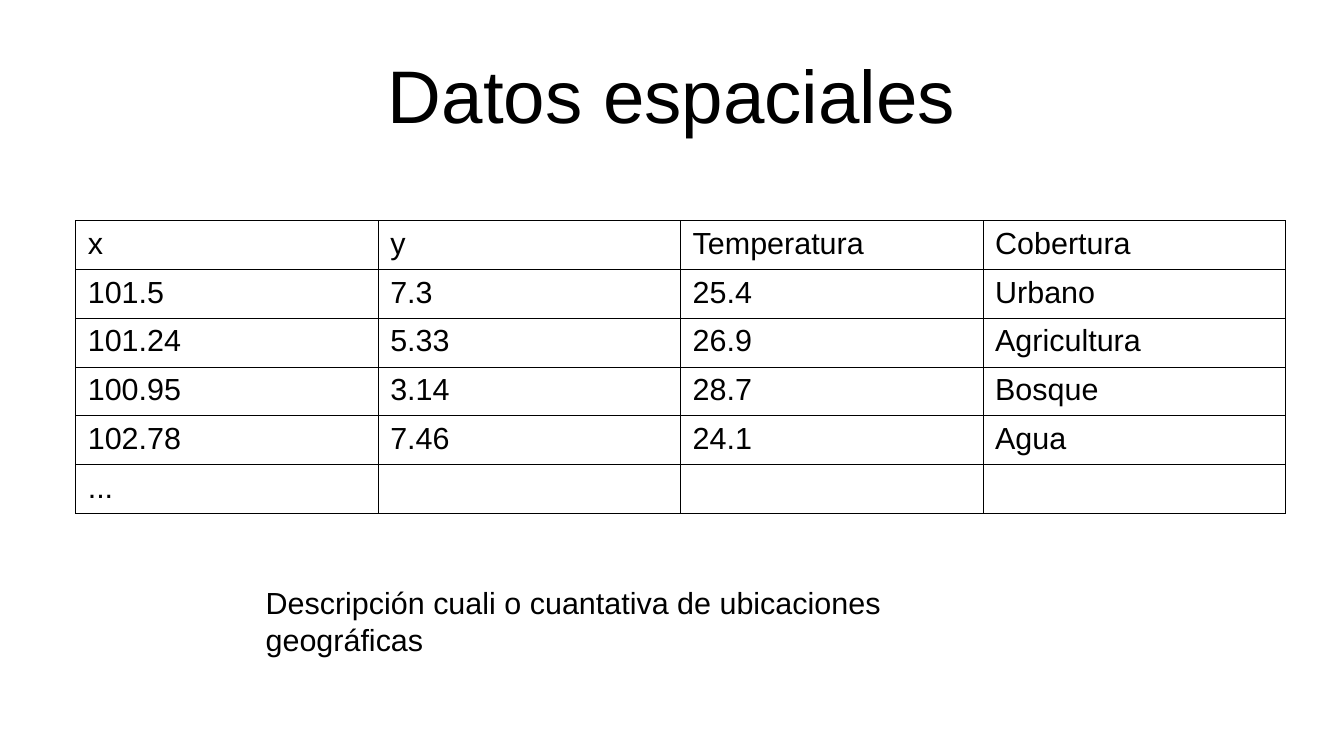
from typing import NamedTuple

from lxml.etree import SubElement
from pptx import Presentation
from pptx.dml.color import RGBColor
from pptx.enum.text import MSO_ANCHOR, PP_ALIGN
from pptx.oxml.ns import qn
from pptx.table import _Cell
from pptx.text.text import _Paragraph
from pptx.util import Inches, Pt

BLACK = RGBColor(0x00, 0x00, 0x00)
FONT_NAME = "Arial"
BORDER_WIDTH = Pt(0.57)
COLUMN_WIDTH = Inches(2.48)
ROW_HEIGHT = Inches(0.4)


class Observation(NamedTuple):
    x: str
    y: str = ""
    temperature: str = ""
    cover: str = ""


OBSERVATIONS = [
    Observation("x", "y", "Temperatura", "Cobertura"),
    Observation("101.5", "7.3", "25.4", "Urbano"),
    Observation("101.24", "5.33", "26.9", "Agricultura"),
    Observation("100.95", "3.14", "28.7", "Bosque"),
    Observation("102.78", "7.46", "24.1", "Agua"),
    Observation("..."),
]


def style_paragraph(paragraph: _Paragraph, size: float) -> None:
    paragraph.font.name = FONT_NAME
    paragraph.font.size = Pt(size)
    paragraph.font.color.rgb = BLACK


def draw_borders(cell: _Cell) -> None:
    properties = cell._tc.get_or_add_tcPr()
    for position, side in enumerate(("a:lnL", "a:lnR", "a:lnT", "a:lnB")):
        line = SubElement(properties, qn(side), w=str(int(BORDER_WIDTH)))
        properties.insert(position, line)
        fill = SubElement(line, qn("a:solidFill"))
        SubElement(fill, qn("a:srgbClr"), val=str(BLACK))


def fill_cell(cell: _Cell, value: str) -> None:
    cell.text = value
    style_paragraph(cell.text_frame.paragraphs[0], 18)
    cell.fill.background()
    draw_borders(cell)


def main() -> None:
    presentation = Presentation()
    presentation.slide_width = Inches(11.02)
    presentation.slide_height = Inches(6.2)
    slide = presentation.slides.add_slide(presentation.slide_layouts[5])

    # Title
    title = slide.shapes.title
    title.left, title.top = Inches(0.55), Inches(0.25)
    title.width, title.height = Inches(9.92), Inches(1.04)
    heading = title.text_frame
    heading.text = "Datos espaciales"
    heading.vertical_anchor = MSO_ANCHOR.MIDDLE
    heading.margin_left = heading.margin_right = 0
    heading.margin_top = heading.margin_bottom = 0
    heading.paragraphs[0].alignment = PP_ALIGN.CENTER
    style_paragraph(heading.paragraphs[0], 44)

    # Table of spatial observations
    row_count, column_count = len(OBSERVATIONS), len(Observation._fields)
    observations = slide.shapes.add_table(
        row_count, column_count, Inches(0.62), Inches(1.81),
        COLUMN_WIDTH * column_count, ROW_HEIGHT * row_count,
    ).table
    observations.first_row = False
    observations.horz_banding = False
    for row, observation in zip(observations.rows, OBSERVATIONS):
        row.height = ROW_HEIGHT
        for cell, value in zip(row.cells, observation):
            fill_cell(cell, value)

    # Description below the table
    description = slide.shapes.add_textbox(
        Inches(2.08), Inches(4.74), Inches(6.6), Inches(0.38)
    ).text_frame
    description.word_wrap = False
    description.text = "Descripción cuali o cuantativa de ubicaciones geográficas"
    style_paragraph(description.paragraphs[0], 18)

    presentation.save("out.pptx")


if __name__ == "__main__":
    main()
